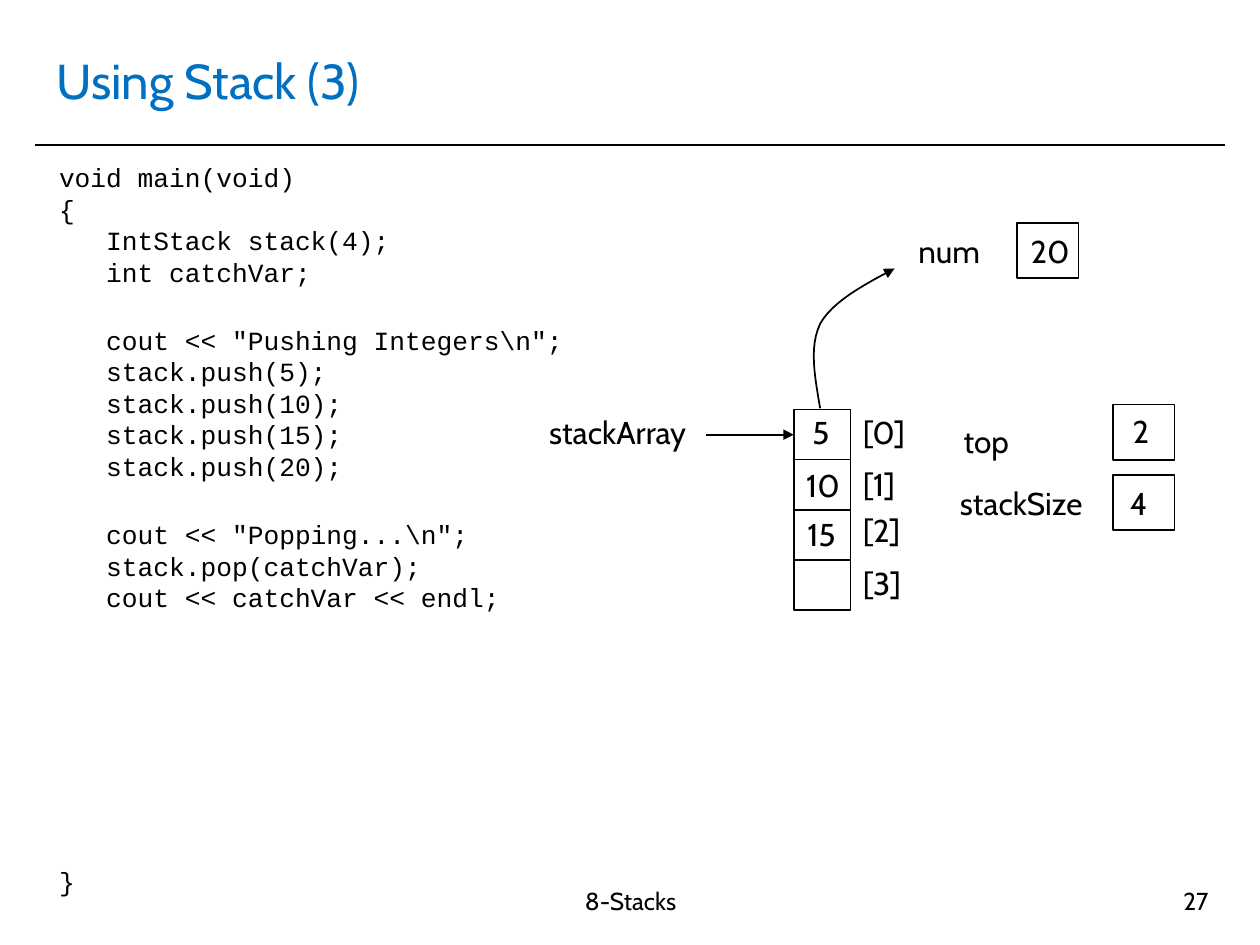
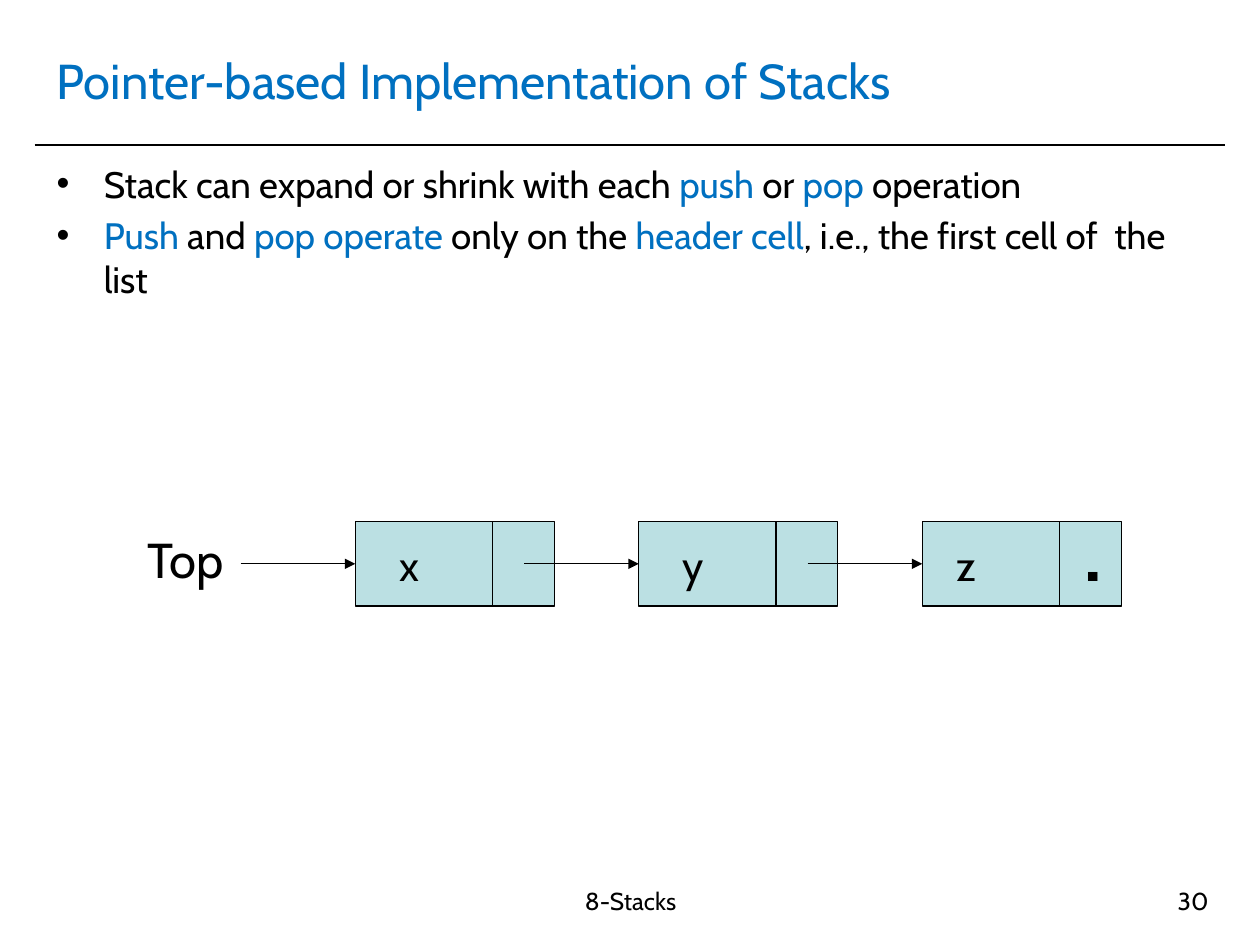
"""Build two slides on stacks: an array-based example and a pointer-based list."""
import dataclasses
import typing

import lxml.etree
import pptx
import pptx.dml.color
import pptx.enum.shapes
import pptx.enum.text
import pptx.oxml.ns
import pptx.util

Pt = pptx.util.Pt
qn = pptx.oxml.ns.qn
ALIGN = pptx.enum.text.PP_ALIGN
ANCHOR = pptx.enum.text.MSO_ANCHOR

BLACK = pptx.dml.color.RGBColor(0x00, 0x00, 0x00)
WHITE = pptx.dml.color.RGBColor(0xFF, 0xFF, 0xFF)
BLUE = pptx.dml.color.RGBColor(0x00, 0x70, 0xC0)
TEAL = pptx.dml.color.RGBColor(0xBB, 0xE0, 0xE3)
TEXT_FONT = "Cabin"
CODE_FONT = "Courier New"
FOOTER = "8-Stacks"

Point = tuple[float, float]


@dataclasses.dataclass(frozen=True)
class Box:
    """A rectangle in points."""
    left: float
    top: float
    width: float
    height: float

    def lengths(self) -> list[pptx.util.Length]:
        """Return left, top, width and height as lengths."""
        return [Pt(value) for value in dataclasses.astuple(self)]


@dataclasses.dataclass(frozen=True)
class Label:
    """One line of text in its box."""
    text: str
    box: Box
    size: float = 18
    color: pptx.dml.color.RGBColor = BLACK
    align: ALIGN = ALIGN.LEFT
    anchor: ANCHOR = ANCHOR.TOP


@dataclasses.dataclass(frozen=True)
class Node:
    """A list cell with its value and the left edge of that value."""
    text: str
    left: float
    text_left: float


TITLE_BOX = Box(25.2, 15.1, 668.9, 61.2)
FOOTER_BOX = Box(241.2, 502.6, 238.3, 37.4)
NUMBER_BOX = Box(529.9, 502.6, 167.8, 37.4)
BODY_BOX = Box(25.2, 88.6, 668.9, 402.5)
CODE_BOX = Box(26.64, 88.6, 469.4, 402.5)

CODE_LINE = 18
CODE_BLOCKS = [
    (0, "void main(void)\n{\n   IntStack stack(4);\n   int catchVar;"),
    (21, '   cout << "Pushing Integers\\n";\n   stack.push(5);\n   stack.push(10);\n'
         "   stack.push(15);\n   stack.push(20);"),
    (21, '   cout << "Popping...\\n";\n   stack.pop(catchVar);\n   cout << catchVar << endl;'),
    (144.3, "}"),
]
ARRAY = Box(453.6, 234, 32.4, 114.5)
ARRAY_SIZE = 4
VARIABLE_BOXES = [Box(left, top, 35.3, 31.7)
                  for left, top in [(635.8, 231.1), (635.8, 271.4), (581, 127.4)]]
STACK_LABELS = [
    Label("[0]", Box(486, 232.6, 51, 29)),
    Label("[1]", Box(486, 262.1, 51, 29)),
    Label("[2]", Box(486, 288.7, 39, 29)),
    Label("[3]", Box(486, 319, 39, 29)),
    Label("stackArray", Box(306.7, 232.6, 108, 29)),
    Label("top", Box(543.6, 237.6, 55, 29)),
    Label("stackSize", Box(541.4, 272.9, 107, 29)),
    Label("2", Box(640.1, 231.8, 31, 29)),
    Label("4", Box(638.6, 272.9, 28, 29)),
    Label("5", Box(457.2, 232.6, 31, 29)),
    Label("10", Box(453.6, 262.8, 35.3, 29)),
    Label("15", Box(454.3, 290.9, 35.3, 29)),
    Label("num", Box(517.7, 128.9, 66.2, 29)),
    Label("20", Box(581.8, 128.9, 42.5, 29)),
]
POP_CURVE = [
    [(468.7, 233.3), (465.8, 216), (462.2, 198.7), (468.7, 185)],
    [(468.7, 185), (475.9, 172.1), (493.9, 162.7), (511.2, 153.4)],
]

BULLETS = [
    [("Stack can expand or shrink with each ", BLACK), ("push", BLUE), (" or ", BLACK),
     ("pop", BLUE), (" operation", BLACK)],
    [("Push", BLUE), (" and ", BLACK), ("pop operate", BLUE), (" only on the ", BLACK),
     ("header cell", BLUE), (", i.e., the first cell of  the list", BLACK)],
]
BULLET_INDENT = 27
NODE_TOP, NODE_WIDTH, NODE_HEIGHT = 298.1, 113.8, 48.2
NODE_DIVIDER = 78.5
ARROW_LENGTH = 65.5
NODES = [Node("x", 203, 221), Node("y", 365, 383), Node("z", 527, 539.3)]
LIST_LABELS = [
    Label("Top", Box(77, 298.8, 72, 41), 28),
    Label(".", Box(611.3, 268.6, 23.8, 79.2), 60),
]


def add_run(paragraph: typing.Any, text: str, size: float, color: pptx.dml.color.RGBColor,
            font: str = TEXT_FONT) -> None:
    """Add one formatted run."""
    run = paragraph.add_run()
    run.text = text
    run.font.name = font
    run.font.size = Pt(size)
    run.font.color.rgb = color


def add_text_frame(slide: typing.Any, box: Box) -> typing.Any:
    """Add a wrapping text box and return its text frame."""
    text_frame = slide.shapes.add_textbox(*box.lengths()).text_frame
    text_frame.word_wrap = True
    return text_frame


def add_label(slide: typing.Any, label: Label) -> None:
    """Add a label as a text box."""
    text_frame = add_text_frame(slide, label.box)
    text_frame.vertical_anchor = label.anchor
    paragraph = text_frame.paragraphs[0]
    paragraph.alignment = label.align
    add_run(paragraph, label.text, label.size, label.color)


def set_line(shape: typing.Any, weight: float, arrow: bool = False) -> None:
    """Give a shape or connector a black line, with an arrowhead if wanted."""
    shape.line.color.rgb = BLACK
    shape.line.width = Pt(weight)
    if arrow:
        outline = shape.element.spPr.find(qn("a:ln"))
        lxml.etree.SubElement(outline, qn("a:tailEnd"), type="triangle")


def add_line(slide: typing.Any, start: Point, end: Point, weight: float = 1,
             arrow: bool = False) -> typing.Any:
    """Add a straight connector without a shadow."""
    connector = slide.shapes.add_connector(
        pptx.enum.shapes.MSO_CONNECTOR.STRAIGHT, *[Pt(value) for value in start + end])
    set_line(connector, weight, arrow)
    lxml.etree.SubElement(connector.element.spPr, qn("a:effectLst"))
    return connector


def add_rectangle(slide: typing.Any, box: Box, weight: float = 1,
                  fill: pptx.dml.color.RGBColor | None = None) -> typing.Any:
    """Add a rectangle, unfilled unless a colour is given."""
    shape = slide.shapes.add_shape(
        pptx.enum.shapes.MSO_SHAPE.RECTANGLE, *box.lengths())
    shape.shadow.inherit = False
    if fill is None:
        shape.fill.background()
    else:
        shape.fill.solid()
        shape.fill.fore_color.rgb = fill
    set_line(shape, weight)
    return shape


def curve_points(segments: list[list[Point]], steps: int = 12) -> list[Point]:
    """Return points along joined cubic curves."""
    points = [segments[0][0]]
    for segment in segments:
        for step in range(1, steps + 1):
            t = step / steps
            weights = ((1 - t) ** 3, 3 * t * (1 - t) ** 2, 3 * t ** 2 * (1 - t), t ** 3)
            points.append(tuple(sum(weight * point[axis] for weight, point in zip(weights, segment))
                                for axis in (0, 1)))
    return points


def add_curved_arrow(slide: typing.Any, segments: list[list[Point]]) -> None:
    """Add an open curved outline that ends in an arrowhead."""
    start, *others = [(Pt(x), Pt(y)) for x, y in curve_points(segments)]
    builder = slide.shapes.build_freeform(*start)
    builder.add_line_segments(others, close=False)
    shape = builder.convert_to_shape()
    shape.shadow.inherit = False
    shape.fill.background()
    set_line(shape, 1, arrow=True)


def add_base_slide(presentation: typing.Any, title: str, number: int) -> typing.Any:
    """Add a slide with title, rule, footer and number."""
    slide = presentation.slides.add_slide(presentation.slide_layouts[6])
    slide.background.fill.solid()
    slide.background.fill.fore_color.rgb = WHITE
    add_line(slide, (19.8, 82.8), (700.2, 82.8))
    add_label(slide, Label(title, TITLE_BOX, 28, BLUE, anchor=ANCHOR.MIDDLE))
    add_label(slide, Label(FOOTER, FOOTER_BOX, 14, align=ALIGN.CENTER))
    add_label(slide, Label(str(number), NUMBER_BOX, 14, align=ALIGN.RIGHT))
    return slide


def add_code(slide: typing.Any) -> None:
    """Add the program listing, one paragraph per block."""
    text_frame = add_text_frame(slide, CODE_BOX)
    for index, (space_before, block) in enumerate(CODE_BLOCKS):
        paragraph = text_frame.add_paragraph() if index else text_frame.paragraphs[0]
        paragraph.line_spacing = Pt(CODE_LINE)
        paragraph.space_before = Pt(space_before)
        for row, line in enumerate(block.split("\n")):
            if row:
                paragraph.add_line_break()
            add_run(paragraph, line, 15, BLACK, CODE_FONT)


def add_bullets(slide: typing.Any) -> None:
    """Add the bulleted statements."""
    text_frame = add_text_frame(slide, BODY_BOX)
    for index, runs in enumerate(BULLETS):
        paragraph = text_frame.add_paragraph() if index else text_frame.paragraphs[0]
        paragraph.space_before = Pt(4.2 if index else 0)
        properties = paragraph._p.get_or_add_pPr()
        properties.set("marL", str(Pt(BULLET_INDENT)))
        properties.set("indent", str(-Pt(BULLET_INDENT)))
        bullet_color = lxml.etree.SubElement(properties, qn("a:buClr"))
        lxml.etree.SubElement(bullet_color, qn("a:srgbClr"), val=str(BLACK))
        lxml.etree.SubElement(properties, qn("a:buFont"), typeface="Arial")
        lxml.etree.SubElement(properties, qn("a:buChar"), char="•")
        for text, color in runs:
            add_run(paragraph, text, 21, color)


def build_array_slide(presentation: typing.Any) -> None:
    """Build the slide that pops a value from an array stack."""
    slide = add_base_slide(presentation, "Using Stack (3)", 27)
    add_code(slide)
    add_rectangle(slide, ARRAY)
    for index in range(1, ARRAY_SIZE):
        y = ARRAY.top + index * ARRAY.height / ARRAY_SIZE
        add_line(slide, (ARRAY.left, y), (ARRAY.left + ARRAY.width, y))
    for box in VARIABLE_BOXES:
        add_rectangle(slide, box)
    add_line(slide, (403.2, 248.4), (ARRAY.left, 248.4), arrow=True)
    for label in STACK_LABELS:
        add_label(slide, label)
    add_curved_arrow(slide, POP_CURVE)


def build_list_slide(presentation: typing.Any) -> None:
    """Build the slide with the linked list."""
    slide = add_base_slide(presentation, "Pointer-based Implementation of Stacks", 30)
    add_bullets(slide)
    middle = NODE_TOP + NODE_HEIGHT / 2
    rectangles = []
    for node in NODES:
        box = Box(node.left, NODE_TOP, NODE_WIDTH, NODE_HEIGHT)
        rectangles.append(add_rectangle(slide, box, 0.75, TEAL))
        divider = node.left + NODE_DIVIDER
        add_line(slide, (divider, NODE_TOP), (divider, NODE_TOP + NODE_HEIGHT), 0.75)
        add_label(slide, Label(node.text, Box(node.text_left, 304.6, 36, 36), 24))
    for node, rectangle in zip(NODES, rectangles):
        arrow = add_line(slide, (node.left - ARROW_LENGTH, middle), (node.left, middle), 0.75, True)
        arrow.end_connect(rectangle, 1)
    for label in LIST_LABELS:
        add_label(slide, label)


def main() -> None:
    """Build and save the presentation."""
    presentation = pptx.Presentation()
    presentation.slide_width = Pt(720)
    presentation.slide_height = Pt(540)
    build_array_slide(presentation)
    build_list_slide(presentation)
    presentation.save("out.pptx")


if __name__ == "__main__":
    main()
